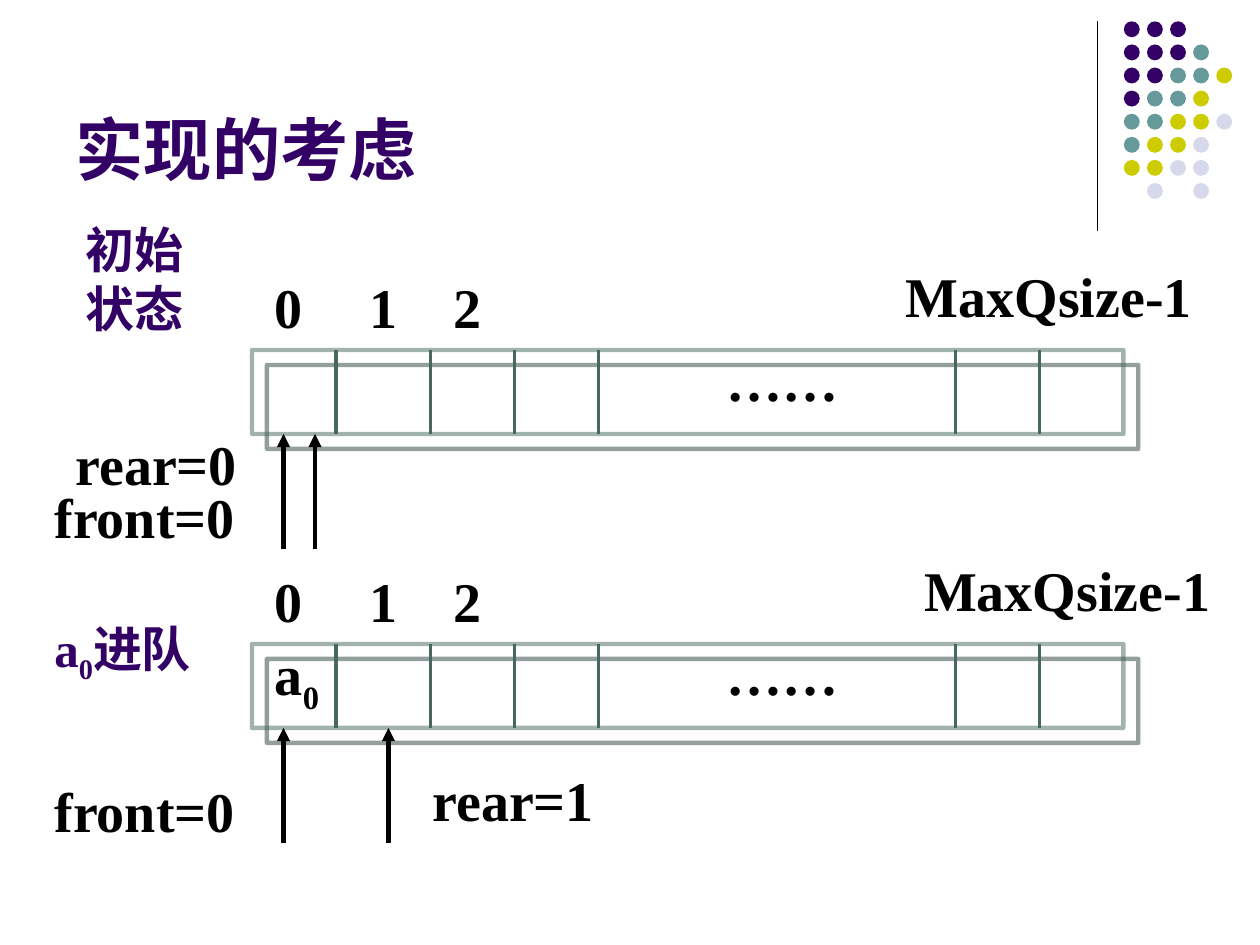
"""Build a slide showing a circular queue before and after the first element enters."""
from lxml import etree
from pptx import Presentation
from pptx.dml.color import RGBColor
from pptx.enum import shapes, text
from pptx.oxml import ns
from pptx.util import Pt

PURPLE = RGBColor(0x33, 0x00, 0x66)
TEAL = RGBColor(0x66, 0x99, 0x99)
OLIVE = RGBColor(0xCC, 0xCC, 0x00)
LAVENDER = RGBColor(0xD8, 0xD8, 0xEC)
GREEN = RGBColor(0x46, 0x68, 0x61)
SHADOW = RGBColor(0x2A, 0x3E, 0x3A)
BLACK = RGBColor(0, 0, 0)

TITLE = "实现的考虑"
DOT_ROWS = ["PPP", "PPPT", "PPTTO", "PTTO", "TTOOL", "TOOL", "OOLL", " L L"]
DOT_COLORS = {"P": PURPLE, "T": TEAL, "O": OLIVE, "L": LAVENDER}
DOT_LEFT, DOT_TOP, DOT_PITCH, DOT_SIZE = 642.2, 12.2, 13.2, 9.1

ARRAY_LEFT, ARRAY_WIDTH, ARRAY_HEIGHT = 144, 498, 48
DIVIDERS = [192, 246, 294, 342, 546, 594]
ARROW_LENGTH = 66

COMMON_LABELS = [
    (["……"], 408, -6, 90, 46, 32, BLACK),
    (["0"], 150, -48, 36, 46, 32, BLACK),
    (["1"], 204, -48, 36, 46, 32, BLACK),
    (["2"], 252, -48, 36, 46, 32, BLACK),
    (["front=0"], 24, 72, 162, 46, 32, BLACK),
]
STATES = [
    {"top": 200, "arrows": [162, 180], "labels": [
        (["MaxQsize-1"], 510.5, -54, 180, 46, 32, BLACK),
        (["rear=0"], 36, 42, 138, 46, 32, BLACK),
        (["初始状态"], 42, -78, 72, 75, 28, PURPLE)]},
    {"top": 368, "arrows": [162, 222], "labels": [
        (["MaxQsize-1"], 521, -54, 179, 46, 32, BLACK),
        (["rear=1"], 240, 66, 138, 46, 32, BLACK),
        (["a", "0"], 150, -6, 60, 51, 32, BLACK),
        (["a", "0", "进队"], 24, -18, 120, 45, 28, PURPLE)]},
]


def add_xml(parent, tag, **attributes):
    return etree.SubElement(parent, ns.qn(tag), attributes)


def style_run(run, size, color, font_name):
    run.font.size = Pt(size)
    run.font.bold = True
    run.font.name = font_name
    run.font.color.rgb = color


def add_line(slide, start, end, color, width, arrow=False):
    line = slide.shapes.add_connector(
        shapes.MSO_CONNECTOR.STRAIGHT, *(Pt(value) for value in start + end))
    line.line.color.rgb = color
    line.line.width = Pt(width)
    if arrow:
        add_xml(line.line._get_or_add_ln(), "a:tailEnd", type="triangle")
    add_xml(line._element.spPr, "a:effectLst")


def add_dots(slide):
    for row, letters in enumerate(DOT_ROWS):
        for column, letter in enumerate(letters):
            if letter in DOT_COLORS:
                dot = slide.shapes.add_shape(
                    shapes.MSO_SHAPE.OVAL, Pt(DOT_LEFT + column * DOT_PITCH),
                    Pt(DOT_TOP + row * DOT_PITCH), Pt(DOT_SIZE), Pt(DOT_SIZE))
                dot.shadow.inherit = False
                dot.fill.solid()
                dot.fill.fore_color.rgb = DOT_COLORS[letter]
                dot.line.fill.background()


def add_array(slide, top):
    array = slide.shapes.add_shape(
        shapes.MSO_SHAPE.RECTANGLE, Pt(ARRAY_LEFT), Pt(top), Pt(ARRAY_WIDTH), Pt(ARRAY_HEIGHT))
    array.fill.background()
    array.line.color.rgb = GREEN
    array.line.width = Pt(2.5)
    line_color = array.line._get_or_add_ln().find(".//" + ns.qn("a:srgbClr"))
    add_xml(line_color, "a:alpha", val="50000")
    array.shadow.inherit = False
    effects = array._element.spPr.find(ns.qn("a:effectLst"))
    shadow = add_xml(effects, "a:outerShdw", dist=str(Pt(12.1)), dir="2700000",
                     algn="ctr", rotWithShape="0")
    add_xml(shadow, "a:srgbClr", val=str(SHADOW))
    for x in DIVIDERS:
        add_line(slide, (x, top), (x, top + ARRAY_HEIGHT), GREEN, 2.25)


def add_label(slide, parts, left, top, width, height, size, color):
    box = slide.shapes.add_textbox(Pt(left), Pt(top), Pt(width), Pt(height))
    box.text_frame.word_wrap = True
    paragraph = box.text_frame.paragraphs[0]
    for part in parts:
        run = paragraph.add_run()
        run.text = part
        style_run(run, size, color, "Times New Roman")
        if part == "0" and len(parts) > 1:
            run.font._element.set("baseline", "-25000")


def add_title(slide):
    title = slide.shapes.title
    title.left, title.top, title.width, title.height = Pt(36), Pt(9.5), Pt(594), Pt(102)
    frame = title.text_frame
    frame.text = TITLE
    frame.auto_size = text.MSO_AUTO_SIZE.NONE
    frame.vertical_anchor = text.MSO_ANCHOR.BOTTOM
    frame.paragraphs[0].alignment = text.PP_ALIGN.LEFT
    style_run(frame.paragraphs[0].runs[0], 39, PURPLE, "Arial")


def main():
    presentation = Presentation()
    presentation.slide_width, presentation.slide_height = Pt(720), Pt(540)
    slide = presentation.slides.add_slide(presentation.slide_layouts[5])
    add_line(slide, (627, 12), (627, 132), BLACK, 0.75)
    add_dots(slide)
    add_title(slide)
    for state in STATES:
        top = state["top"]
        bottom = top + ARRAY_HEIGHT
        add_array(slide, top)
        for x in state["arrows"]:
            add_line(slide, (x, bottom + ARROW_LENGTH), (x, bottom), BLACK, 2.5, arrow=True)
        for parts, left, offset, *rest in COMMON_LABELS + state["labels"]:
            add_label(slide, parts, left, top + offset, *rest)
    presentation.save("out.pptx")


if __name__ == "__main__":
    main()
